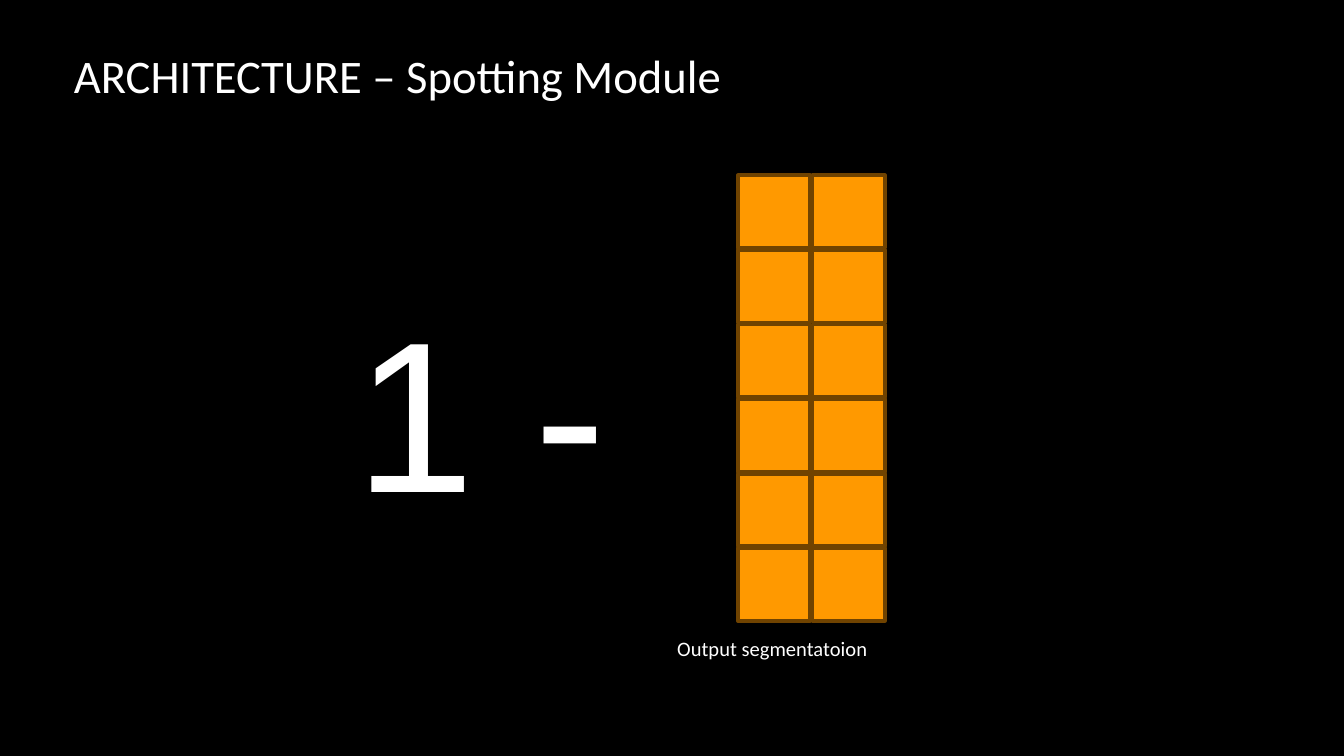
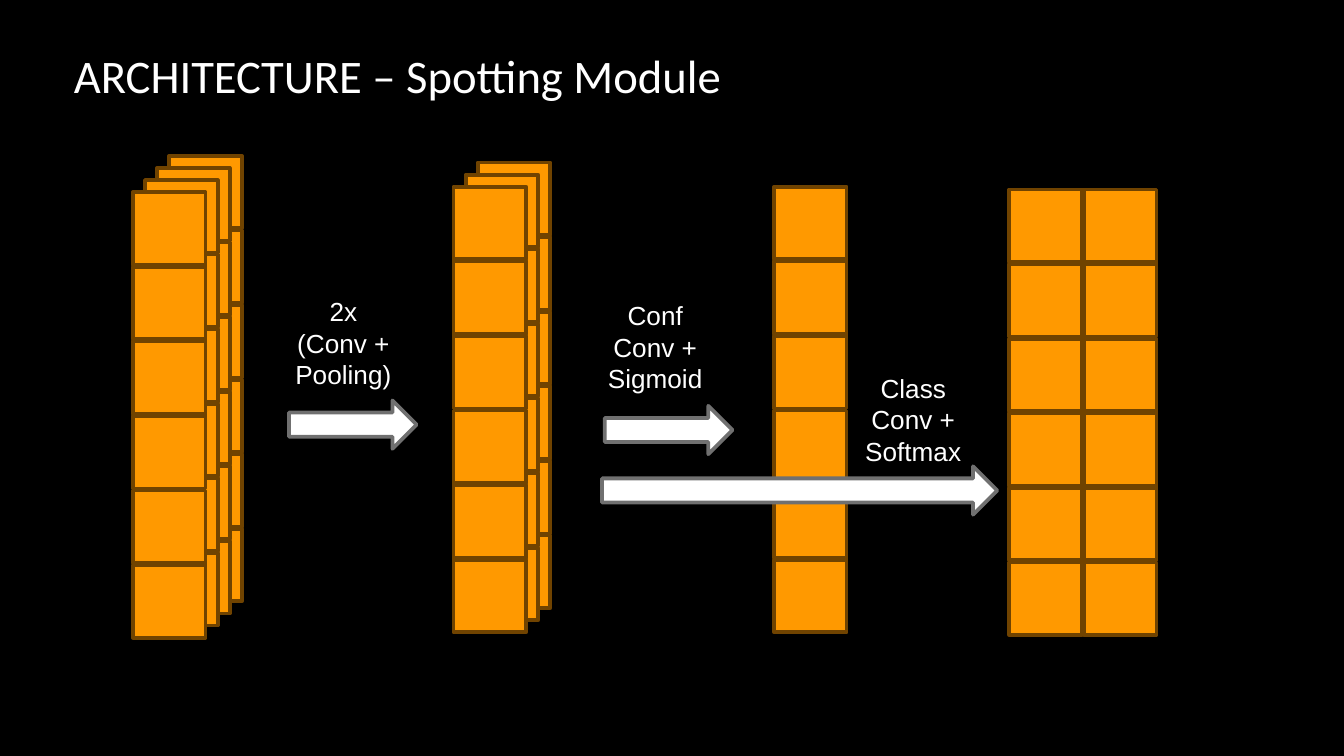
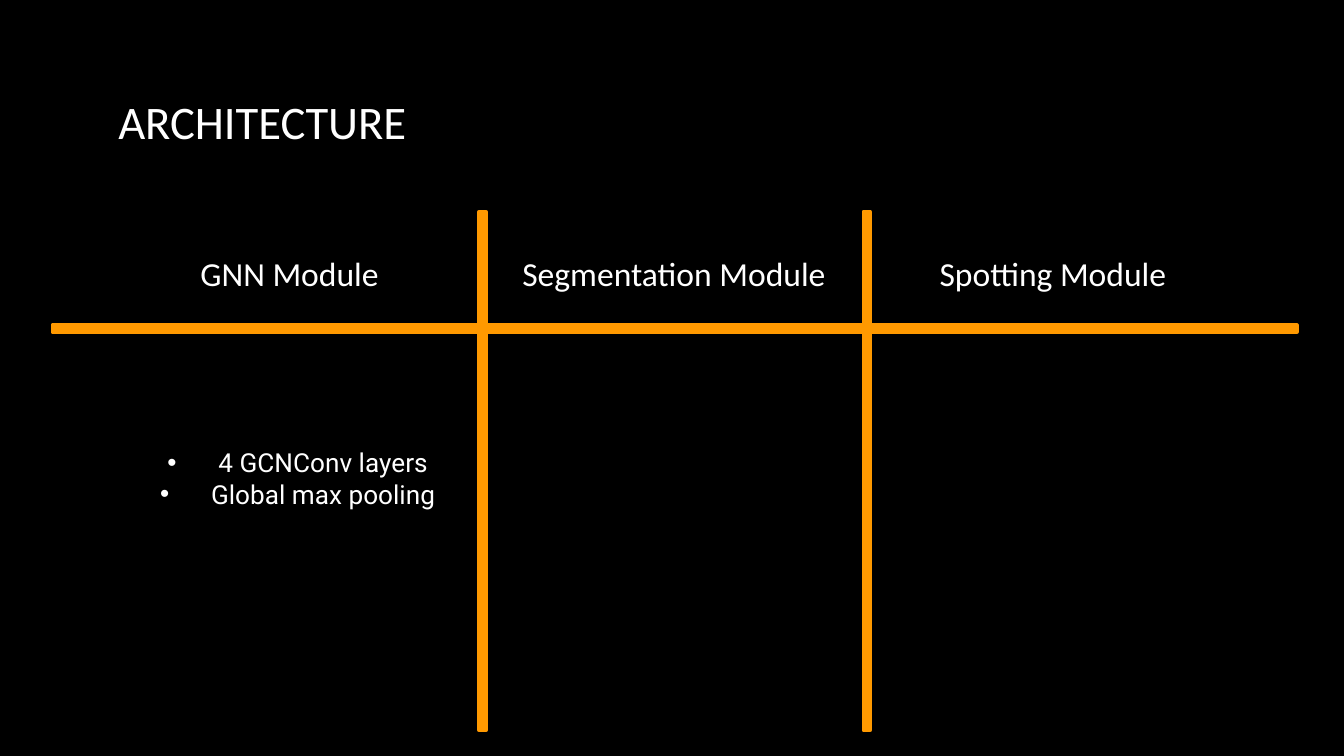
"""Builds three slides about the architecture of a spotting network."""
from lxml.etree import SubElement
from pptx import Presentation
from pptx.dml.color import RGBColor
from pptx.enum.shapes import MSO_SHAPE
from pptx.enum.text import MSO_ANCHOR, MSO_AUTO_SIZE, PP_ALIGN
from pptx.oxml.ns import qn
from pptx.util import Emu, Pt

PX_PER_INCH = 200
BLACK, WHITE, ORANGE, BROWN, GREY = "000000", "FFFFFF", "FF9900", "704300", "707070"
CELL, PITCH, ROWS, LAYER_STEP = 108, 111, 6, 18
TITLE_ONLY, TITLE_AND_CONTENT = 5, 1


def px(length):
    return Emu(length * 914400 // PX_PER_INCH)


def color(hex_code):
    return RGBColor.from_string(hex_code)


class SlideBuilder:
    """Holds the deck style and the current slide."""

    def __init__(self):
        self.deck = Presentation()
        self.deck.slide_width, self.deck.slide_height = px(2000), px(1125)
        background = self.deck.slide_master.background.fill
        background.solid()
        background.fore_color.rgb = color(BLACK)
        self.slide = None

    def add_slide(self, layout):
        self.slide = self.deck.slides.add_slide(self.deck.slide_layouts[layout])

    def place(self, box, left, top, width, height):
        box.left, box.top, box.width, box.height = map(px, (left, top, width, height))

    def fill_text(self, box, lines, font, size, align=PP_ALIGN.LEFT,
                  anchor=MSO_ANCHOR.TOP, margin=20, bullets=False):
        frame = box.text_frame
        frame.word_wrap = True
        frame.auto_size = MSO_AUTO_SIZE.NONE
        frame.vertical_anchor = anchor
        frame.margin_left = frame.margin_right = px(20)
        frame.margin_top = frame.margin_bottom = px(margin)
        for index, line in enumerate(lines):
            para = frame.add_paragraph() if index else frame.paragraphs[0]
            if bullets:
                self.bullet(para)
            para.alignment = align
            para.space_before = Pt(0)
            span = para.add_run()
            span.text = line
            span.font.name, span.font.size = font, Pt(size)
            span.font.color.rgb = color(WHITE)

    def bullet(self, para):
        properties = para._p.get_or_add_pPr()
        properties.set("marL", str(px(100)))
        properties.set("indent", str(-px(76)))
        tint = SubElement(properties, qn("a:buClr"))
        SubElement(tint, qn("a:srgbClr"), val=WHITE)
        SubElement(properties, qn("a:buFont"), typeface="Arial")
        SubElement(properties, qn("a:buChar"), char="•")

    def title(self, text, left=90, top=50):
        box = self.slide.shapes.title
        self.place(box, left, top, 1688, 124)
        self.fill_text(box, [text], "Calibri", 25)

    def bullet_list(self, lines, left, top, width, height):
        box = self.slide.placeholders[1]
        self.place(box, left, top, width, height)
        self.fill_text(box, lines, "Roboto", 14, PP_ALIGN.CENTER, MSO_ANCHOR.MIDDLE,
                       bullets=True)
        box.text_frame.margin_bottom = px(157)

    def text(self, lines, left, top, width, height, font, size, **style):
        box = self.slide.shapes.add_textbox(*map(px, (left, top, width, height)))
        self.fill_text(box, lines, font, size, **style)

    def arrow_label(self, lines, left, top):
        self.text(lines, left, top, 190, 162, "Arial", 14,
                  align=PP_ALIGN.CENTER, margin=10)

    def shape(self, kind, left, top, width, height, fill, line):
        shape = self.slide.shapes.add_shape(kind, *map(px, (left, top, width, height)))
        shape.shadow.inherit = False
        shape.fill.solid()
        shape.fill.fore_color.rgb = color(fill)
        shape.line.color.rgb = color(line)
        shape.line.width = Pt(2)

    def arrow(self, left, top, width):
        self.shape(MSO_SHAPE.RIGHT_ARROW, left, top, width, 72, WHITE, GREY)

    def bar(self, left, top, width, height):
        self.shape(MSO_SHAPE.RECTANGLE, left, top, width, height, ORANGE, ORANGE)

    def feature_map(self, left, top, columns=1, layers=1):
        for layer in reversed(range(layers)):
            shift = layer * LAYER_STEP
            for row in range(ROWS):
                for column in range(columns):
                    self.shape(MSO_SHAPE.RECTANGLE, left + shift + column * PITCH,
                               top - shift + row * PITCH, CELL, CELL, ORANGE, BROWN)


def build_inverse_slide(builder):
    builder.add_slide(TITLE_ONLY)
    builder.title("ARCHITECTURE – Spotting Module")
    builder.feature_map(1098, 261, columns=2)
    builder.text(["1 -"], 510, 404, 416, 408, "Arial", 115, margin=10)
    builder.text(["Output segmentatoion"], 988, 926, 444, 80, "Calibri", 11)


def build_spotting_slide(builder):
    builder.add_slide(TITLE_ONLY)
    builder.title("ARCHITECTURE – Spotting Module")
    builder.feature_map(198, 286, layers=4)
    builder.feature_map(675, 278, layers=3)
    builder.feature_map(1152, 278)
    builder.feature_map(1502, 282, columns=2)
    builder.arrow(430, 596, 190)
    builder.arrow(900, 604, 190)
    builder.arrow(896, 694, 588)
    builder.arrow_label(["2x", "(Conv + Pooling)"], 416, 430)
    builder.arrow_label(["Conf Conv + Sigmoid"], 880, 436)
    builder.arrow_label(["Class Conv + Softmax"], 1264, 544)


def build_modules_slide(builder):
    builder.add_slide(TITLE_AND_CONTENT)
    builder.title("ARCHITECTURE", 156, 118)
    modules = {"GNN Module": 156, "Segmentation Module": 728, "Spotting Module": 1292}
    for name, left in modules.items():
        builder.text([name], left, 354, 550, 106, "Calibri", 18,
                     align=PP_ALIGN.CENTER, anchor=MSO_ANCHOR.MIDDLE)
    builder.bullet_list(["4 GCNConv layers", "Global max pooling"], 156, 516, 550, 528)
    builder.bar(78, 484, 1852, 10)
    for left in (713, 1285):
        builder.bar(left, 315, 10, 772)


def main():
    builder = SlideBuilder()
    build_inverse_slide(builder)
    build_spotting_slide(builder)
    build_modules_slide(builder)
    builder.deck.save("out.pptx")


if __name__ == "__main__":
    main()
